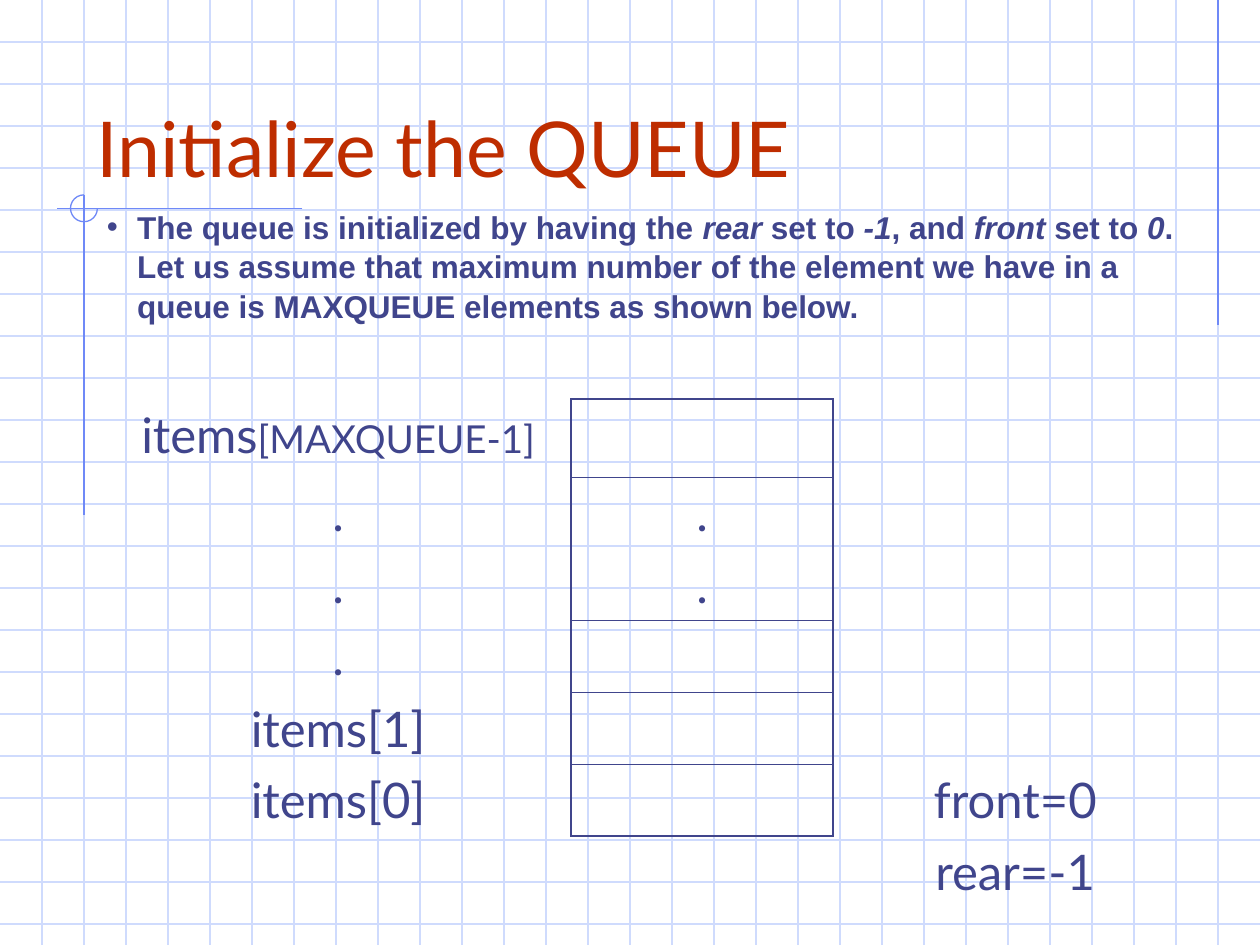
"""Build the "Initialize the QUEUE" slide on a grid of 30 columns, a third of an inch each."""
from lxml import etree
from pptx import Presentation
from pptx import util as u
from pptx.dml.color import RGBColor
from pptx.enum import shapes, text
from pptx.oxml import ns

INK, RED, PALE, BLUE = "40458C", "BE2D00", "CFDBFD", "6F89F7"
COLS, ROWS = 30, 22.5
CELL = u.Inches(10) // COLS
rgb = RGBColor.from_string


def add_run(p, words, size=28, font="Lato", color=INK, bold=False, italic=False):
    r = p.add_run()
    r.text = words
    r.font.size, r.font.name = u.Pt(size), font
    r.font.bold, r.font.italic = bold, italic
    r.font.color.rgb = rgb(color)


def add_line(x1, y1, x2, y2, color):
    ends = [int(n * CELL) for n in (x1, y1, x2, y2)]
    s = slide.shapes.add_connector(shapes.MSO_CONNECTOR.STRAIGHT, *ends)
    s.line.color.rgb = rgb(color)
    s.line.width = u.Pt(0.75)
    etree.SubElement(s._element.spPr, ns.qn("a:effectLst"))


prs = Presentation()
prs.slide_width, prs.slide_height = COLS * CELL, int(ROWS * CELL)
slide = prs.slides.add_slide(prs.slide_layouts[6])
slide.background.fill.solid()
slide.background.fill.fore_color.rgb = rgb("FFFFFF")

for y in range(1, 23):
    add_line(0, y, COLS, y, PALE)
for x in range(1, COLS):
    add_line(x, 0, x, ROWS, PALE)
add_line(29, 0, 29, 7.75, BLUE)
add_line(7.2, 4.96, 1.36, 4.96, BLUE)
add_line(2, 4.64, 2, 12.27, BLUE)

box = [int(n * CELL) for n in (1.68, 4.64, 0.64, 0.64)]
s = slide.shapes.add_shape(shapes.MSO_SHAPE.ARC, *box)
s.adjustments[0], s.adjustments[1] = 0, 162
s.shadow.inherit = False
s.fill.background()
s.line.color.rgb = rgb(BLUE)
s.line.width = u.Pt(0.75)

box = [int(n * CELL) for n in (2, 1, 25.5, 3.75)]
tf = slide.shapes.add_textbox(*box).text_frame
tf.word_wrap = True
tf.vertical_anchor = text.MSO_ANCHOR.BOTTOM
add_run(tf.paragraphs[0], "Initialize the QUEUE", size=44, color=RED)

labels = [
    [[("items", 28), ("[MAXQUEUE-1]", 22)], [], []],
    [[(".", 28)], [(".", 28)], []],
    [[(".", 28)], [(".", 28)], []],
    [[(".", 28)], [], []],
    [[("items[1]", 28)], [], []],
    [[("items[0]", 28)], [], [("front=0", 28)]],
    [[], [], [("rear=-1", 28)]],
]
widths, heights = [11.1, 6.24, 8.66], [1.86] + [1.71] * 6
rules = [1.08, 0.45, 0, 0.45, 0.45, 0.45, 1.08, 0]
box = [int(n * CELL) for n in (2.5, 9.5, sum(widths), sum(heights))]
table = slide.shapes.add_table(len(heights), len(widths), *box).table
table.first_row = table.horz_banding = False
for column, width in zip(table.columns, widths):
    column.width = int(width * CELL)
for i, height in enumerate(heights):
    table.rows[i].height = int(height * CELL)
    for j, parts in enumerate(labels[i]):
        cell = table.cell(i, j)
        p = cell.text_frame.paragraphs[0]
        p.alignment = text.PP_ALIGN.CENTER
        for words, size in parts:
            add_run(p, words, size=size)
        sides = {
            "L": 1.08 if i < 6 and j > 0 else 0,
            "R": 1.08 if i < 6 and j < 2 else 0,
            "T": rules[i] if j == 1 else 0,
            "B": rules[i + 1] if j == 1 else 0,
        }
        for side, width in sides.items():
            ln = etree.SubElement(cell._tc.get_or_add_tcPr(), ns.qn("a:ln" + side), w=str(u.Pt(width)))
            if width:
                fill = etree.SubElement(ln, ns.qn("a:solidFill"))
                etree.SubElement(fill, ns.qn("a:srgbClr"), val=INK)
            else:
                etree.SubElement(ln, ns.qn("a:noFill"))
        cell.fill.background()

box = [int(n * CELL) for n in (2.25, 4.75, 26.5, 3)]
tf = slide.shapes.add_textbox(*box).text_frame
tf.word_wrap = True
p = tf.paragraphs[0]
p.line_spacing = 1.05
pPr = p._p.get_or_add_pPr()
pPr.set("marL", str(u.Inches(0.24)))
pPr.set("indent", str(-u.Inches(0.24)))
etree.SubElement(pPr, ns.qn("a:buFont"), typeface="Arial")
etree.SubElement(pPr, ns.qn("a:buChar"), char="•")
sentence = [
    "The queue is initialized by having the ", "rear ", "set to ", "-1", ", and ", "front ", "set to ", "0",
    ". Let us assume that maximum number of the element we have in a queue is MAXQUEUE elements as shown below.",
]
for i, words in enumerate(sentence):
    add_run(p, words, size=18, font="Arial", bold=True, italic=i % 2 == 1)

prs.save("out.pptx")
